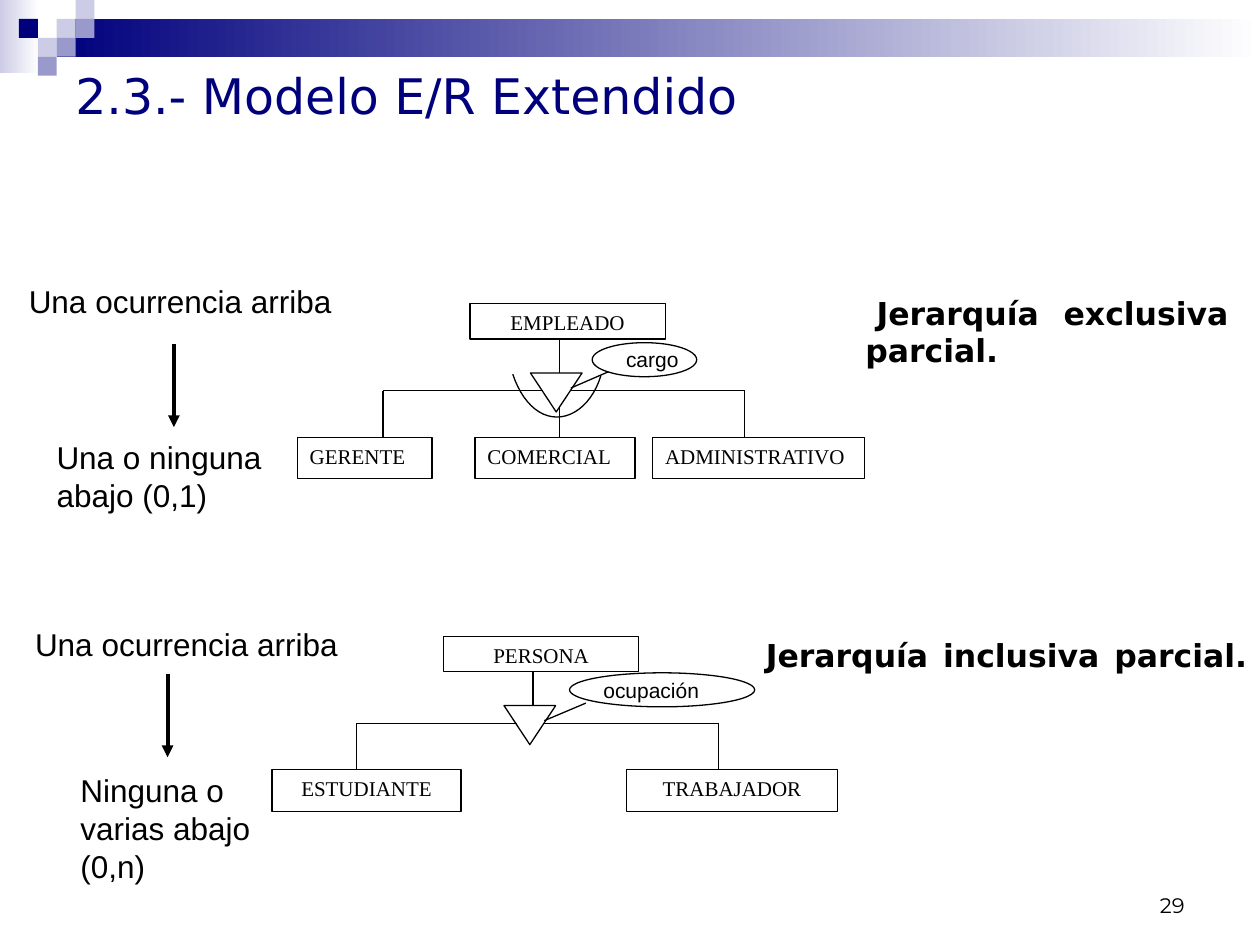
"""Slide on exclusive and inclusive partial hierarchies in the extended E/R model."""
from lxml import etree
from pptx import Presentation, util as u
from pptx.dml.color import RGBColor
from pptx.enum import shapes, text
from pptx.oxml import ns

BLACK = RGBColor(0, 0, 0)
WHITE = RGBColor(255, 255, 255)
NAVY = RGBColor(0, 0, 0x7D)
PALE = RGBColor(0xCC, 0xCC, 0xE6)
LILAC = RGBColor(0x99, 0x99, 0xCC)
THIN, THICK = 0.74, 2.24
SHAPE = shapes.MSO_SHAPE
ALIGN = text.PP_ALIGN
TOP, MIDDLE, BOTTOM = (text.MSO_ANCHOR.TOP, text.MSO_ANCHOR.MIDDLE,
                       text.MSO_ANCHOR.BOTTOM)

TILE = 0.15
BANDS = [((0, 0, 0.31, 0.58), PALE), ((0.45, 0.15, 9.55, 0.3), NAVY)]
TILES = [(3, 1, PALE), (4, 0, PALE), (4, 1, LILAC), (2, 2, PALE),
         (1, 1, NAVY), (3, 2, LILAC), (2, 3, LILAC)]

TITLE = ("2.3.- Modelo E/R Extendido", (0.5, 0.5, 9, 0.5))
NUMBER = ("29", (7.17, 6.83, 2.33, 0.5))
KINDS = [
    ([(" ", "Arial"), ("Jerarquía exclusiva parcial. ", "DejaVu Sans")],
     (6.18, 2.28, 3.67, 0.7), (0.59, -0.09)),
    ([("Jerarquía inclusiva parcial. ", "DejaVu Sans")],
     (5.48, 5, 4.52, 0.4), (0.5, 0)),
]
NOTES = [
    ("Una ocurrencia arriba", (0.13, 2.19, 2.95, 0.4)),
    ("Una o ninguna  abajo (0,1)", (0.35, 3.43, 2.31, 0.7)),
    ("Una ocurrencia arriba", (0.18, 4.91, 2.76, 0.4)),
    ("Ninguna o varias abajo (0,n)", (0.54, 6.07, 1.85, 1)),
]
ARROWS = [(1.38, 2.73), (1.33, 5.35)]
ARROW_LENGTH = 0.66

HIERARCHIES = [
    dict(origin=(3.73, 2.41), parent="EMPLEADO", align=ALIGN.LEFT, exclusive=True,
         children=[("GERENTE", 2.36, 1.07), ("COMERCIAL", 3.77, 1.27),
                   ("ADMINISTRATIVO", 5.18, 1.68)],
         attribute="cargo", oval=(4.7, 2.72, 0.83), label=(4.87, 2.7, 0.65),
         pointer=(4.83, 2.95)),
    dict(origin=(3.52, 5.05), parent="PERSONA", align=ALIGN.CENTER, exclusive=False,
         children=[("ESTUDIANTE", 2.16, 1.5), ("TRABAJADOR", 4.97, 1.68)],
         attribute="ocupación", oval=(4.52, 5.34, 1.47), label=(4.69, 5.33, 1.21),
         pointer=(4.65, 5.58)),
]
BRANCHES = [(-0.69, 1.06, -0.69, 0.69), (0.71, 0.55, 0.71, 0.28),
            (-0.69, 0.69, 0.58, 0.69), (0.8, 0.69, 2.18, 0.69),
            (2.18, 0.69, 2.18, 1.06)]
STEM = (0.71, 0.81, 0.71, 1.06)
ARC = [[(1.04, 0.57), (0.98, 0.77), (0.84, 0.9), (0.69, 0.9)],
       [(0.69, 0.9), (0.54, 0.9), (0.41, 0.77), (0.34, 0.56)]]

deck = Presentation()
deck.slide_width, deck.slide_height = u.Inches(10), u.Inches(7.5)
page = deck.slides.add_slide(deck.slide_layouts[6])


def inches(values):
    return [u.Inches(value) for value in values]


def write(box, runs, size, color=BLACK, align=ALIGN.LEFT, anchor=TOP,
          bold=False, before=0, grow=False):
    frame = box.text_frame
    frame.word_wrap = True
    frame.vertical_anchor = anchor
    if grow:
        frame.auto_size = text.MSO_AUTO_SIZE.SHAPE_TO_FIT_TEXT
    para = frame.paragraphs[0]
    para.alignment = align
    if before:
        para.space_before = u.Pt(before)
    for words, font in runs:
        span = para.add_run()
        span.text = words
        span.font.name, span.font.size = font, u.Pt(size)
        span.font.bold, span.font.color.rgb = bold, color
    return para


def add_text(runs, place, size, **style):
    return write(page.shapes.add_textbox(*inches(place)), runs, size, **style)


def outline(shape, fill=None):
    shape.shadow.inherit = False
    if fill is None:
        shape.fill.background()
    else:
        shape.fill.solid()
        shape.fill.fore_color.rgb = fill
    shape.line.color.rgb = BLACK
    shape.line.width = u.Pt(THIN)
    return shape


def add_shape(kind, place, fill=None):
    return outline(page.shapes.add_shape(kind, *inches(place)), fill)


def add_line(ends, width=THIN, arrow=False):
    line = page.shapes.add_connector(shapes.MSO_CONNECTOR.STRAIGHT, *inches(ends))
    line.line.color.rgb = BLACK
    line.line.width = u.Pt(width)
    if arrow:
        etree.SubElement(line.line._get_or_add_ln(), ns.qn("a:tailEnd"), type="triangle")
    etree.SubElement(line._element.spPr, ns.qn("a:effectLst"))


def add_entity(name, place, align):
    box = add_shape(SHAPE.RECTANGLE, place, WHITE)
    write(box, [(name, "Times New Roman")], 12, align=align)


def add_arc(x, y):
    points = []
    for a, b, c, d in ARC:
        for step in range(13):
            t = step / 12
            s = 1 - t
            dx, dy = (s**3 * a[i] + 3 * s * s * t * b[i] + 3 * s * t * t * c[i]
                      + t**3 * d[i] for i in (0, 1))
            points.append((u.Inches(x + dx), u.Inches(y + dy)))
    builder = page.shapes.build_freeform(*points[0], scale=1.0)
    builder.add_line_segments(points[1:], close=False)
    outline(builder.convert_to_shape())


def add_hierarchy(tree):
    x, y = tree["origin"]
    add_entity(tree["parent"], (x, y, 1.55, 0.28), ALIGN.CENTER)
    for name, left, width in tree["children"]:
        add_entity(name, (left, y + 1.06, width, 0.33), tree["align"])
    add_shape(SHAPE.FLOWCHART_MERGE, (x + 0.48, y + 0.55, 0.41, 0.31), WHITE)
    for x1, y1, x2, y2 in BRANCHES + [STEM] * tree["exclusive"]:
        add_line((x + x1, y + y1, x + x2, y + y2))
    if tree["exclusive"]:
        add_arc(x, y)
    add_line((*tree["pointer"], x + 0.8, y + 0.67))
    add_shape(SHAPE.OVAL, (*tree["oval"], 0.27))
    add_text([(tree["attribute"], "Arial")], (*tree["label"], 0.3), 12,
             before=7.5, grow=True)


for place, color in BANDS:
    band = add_shape(SHAPE.RECTANGLE, place)
    band.line.fill.background()
    band.fill.gradient()
    band.fill.gradient_angle = 0
    for stop, shade in zip(band.fill.gradient_stops, (color, WHITE)):
        stop.color.rgb = shade
for column, row, color in TILES:
    tile = add_shape(SHAPE.RECTANGLE, (column * TILE, row * TILE, TILE, TILE), color)
    tile.line.fill.background()

add_text([(NUMBER[0], "Montserrat")], NUMBER[1], 12, align=ALIGN.RIGHT, anchor=BOTTOM)
add_text([(TITLE[0], "DejaVu Sans")], TITLE[1], 28, color=NAVY, anchor=MIDDLE)
for runs, place, (margin, indent) in KINDS:
    para = add_text(runs, place, 18, align=ALIGN.JUSTIFY, anchor=MIDDLE,
                    bold=True, grow=True)
    para.level = 1
    props = para._p.get_or_add_pPr()
    props.set("marL", str(u.Inches(margin)))
    props.set("indent", str(u.Inches(indent)))
for words, place in NOTES:
    add_text([(words, "Arial")], place, 18, before=11.2, grow=True)
for x, y in ARROWS:
    add_line((x, y, x, y + ARROW_LENGTH), THICK, arrow=True)
for tree in HIERARCHIES:
    add_hierarchy(tree)

deck.save("out.pptx")
